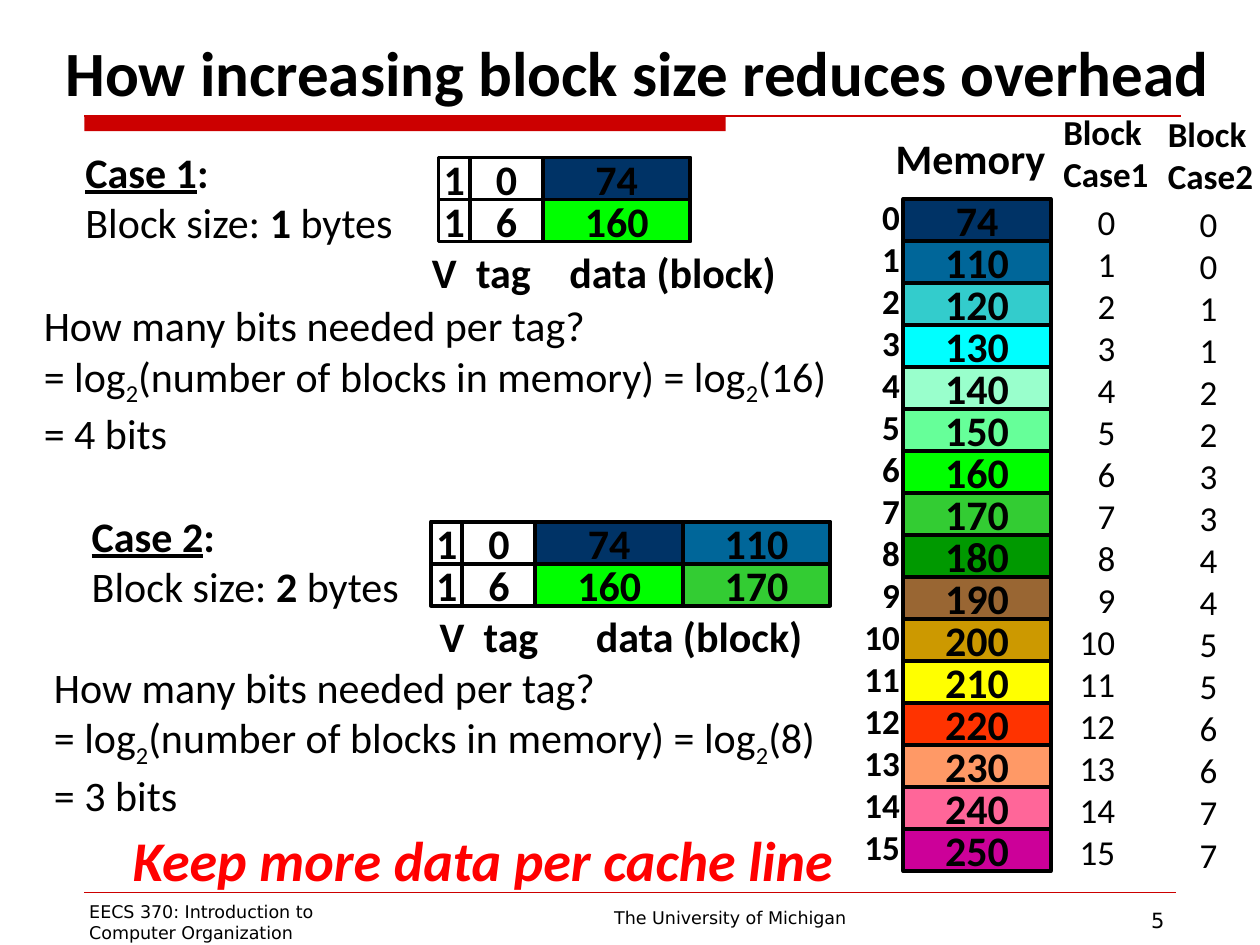
from dataclasses import dataclass
from typing import NamedTuple

from lxml.etree import SubElement
from pptx import Presentation
from pptx.dml.color import RGBColor
from pptx.enum.shapes import MSO_CONNECTOR, MSO_SHAPE
from pptx.enum.text import MSO_ANCHOR, MSO_AUTO_SIZE, PP_ALIGN
from pptx.oxml.ns import qn
from pptx.util import Inches, Pt


@dataclass(frozen=True)
class Theme:
    font: str = "Calibri"
    footer_font: str = "DejaVu Sans"
    black: str = "000000"
    white: str = "FFFFFF"
    rule: str = "CC0000"
    accent: str = "FF0000"
    title: int = 36
    takeaway: int = 32
    body: int = 24
    column: int = 20
    number: int = 12
    footer: int = 10


class Span(NamedTuple):
    text: str
    bold: bool = False
    underline: bool = False
    sub: bool = False


class Box(NamedTuple):
    x: float
    y: float
    w: float
    h: float


@dataclass(frozen=True)
class Case:
    number: int
    blocks: int
    bits: int
    heading: Box
    cache_x: float
    cache_y: float
    rows: tuple[tuple[int, ...], ...]
    labels: Box
    data_tab: float
    question: Box


T = Theme()
ROW_H = 1 / 3
V_W, TAG_W, DATA_W = 0.25, 0.58, 1.17
TAGS = (0, 6)
COLORS = ("003366", "006699", "33CCCC", "00FFFF", "99FFCC", "66FF99", "00FF00", "33CC33",
          "009900", "996633", "CC9900", "FFFF00", "FF3300", "FF9966", "FF6699", "CC0099")
VALUES = (74, *range(110, 260, 10))
MEMORY = dict(zip(VALUES, COLORS))
ADDRESSES = range(len(VALUES))

CASES = (
    Case(1, 16, 4, Box(0.58, 1.11, 4.17, 0.91), 3.48, 1.25, ((74,), (160,)),
         Box(3.33, 1.91, 3.1, 0.5), 1.09, Box(0.25, 2.33, 6.5, 1.31)),
    Case(2, 8, 3, Box(0.63, 4, 4.17, 0.91), 3.42, 4.14, ((74, 110), (160, 170)),
         Box(3.39, 4.8, 3.43, 0.5), 1.24, Box(0.33, 5.2, 6.38, 1.31)),
)


def style(r, size: int, bold=False, color=T.black, font=T.font) -> None:
    r.font.name = font
    r.font.size = Pt(size)
    r.font.bold = bold
    r.font.color.rgb = RGBColor.from_string(color)


def add_text(shapes, box: Box, lines, size=T.body, bold=False, color=T.black, font=T.font,
             align=PP_ALIGN.LEFT, wrap=True, grow=True):
    tf = shapes.add_textbox(*map(Inches, box)).text_frame
    tf.word_wrap = wrap
    tf.auto_size = MSO_AUTO_SIZE.SHAPE_TO_FIT_TEXT if grow else MSO_AUTO_SIZE.NONE
    tf.text = "\n".join(str(line) for line in lines)
    for p in tf.paragraphs:
        p.alignment = align
        for r in p.runs:
            style(r, size, bold, color, font)
    return tf


def add_rich(shapes, box: Box, lines: list[list[Span]]) -> None:
    tf = add_text(shapes, box, [""] * len(lines))
    for p, spans in zip(tf.paragraphs, lines):
        for span in spans:
            r = p.add_run()
            r.text = span.text
            style(r, T.body, span.bold)
            r.font.underline = span.underline
            if span.sub:
                r.font._element.set("baseline", "-25000")


def add_cell(shapes, box: Box, value: int, fill: str) -> None:
    sp = shapes.add_shape(MSO_SHAPE.RECTANGLE, *map(Inches, box))
    sp.shadow.inherit = False
    sp.fill.solid()
    sp.fill.fore_color.rgb = RGBColor.from_string(fill)
    sp.line.color.rgb = RGBColor.from_string(T.black)
    sp.line.width = Pt(2.25)
    tf = sp.text_frame
    tf.word_wrap = False
    tf.vertical_anchor = MSO_ANCHOR.MIDDLE
    tf.text = str(value)
    p = tf.paragraphs[0]
    p.alignment = PP_ALIGN.CENTER
    style(p.runs[0], T.body, True)


def add_rule(shapes, x1: float, x2: float, y: float, width: float) -> None:
    line = shapes.add_connector(MSO_CONNECTOR.STRAIGHT, *map(Inches, (x1, y, x2, y)))
    line.line.color.rgb = RGBColor.from_string(T.rule)
    line.line.width = Pt(width)
    SubElement(line._element.spPr, qn("a:effectLst"))


def add_cache(shapes, case: Case) -> None:
    group = shapes.add_group_shape().shapes
    for i, (tag, data) in enumerate(zip(TAGS, case.rows)):
        x, y = case.cache_x, case.cache_y + i * ROW_H
        cells = [(1, V_W, T.white), (tag, TAG_W, T.white)]
        cells += [(value, DATA_W, MEMORY[value]) for value in data]
        for value, width, fill in cells:
            add_cell(group, Box(x, y, width, ROW_H), value, fill)
            x += width
    tf = add_text(group, case.labels, ["V\ttag\tdata (block)"], bold=True)
    tabs = SubElement(tf.paragraphs[0]._p.get_or_add_pPr(), qn("a:tabLst"))
    for pos in (0.35, case.data_tab):
        SubElement(tabs, qn("a:tab"), pos=str(Inches(pos)), algn="l")


def add_case(shapes, case: Case) -> None:
    add_rich(shapes, case.heading, [
        [Span(f"Case {case.number}", True, True), Span(":", True)],
        [Span("Block size: "), Span(str(case.number), True), Span(" bytes")],
    ])
    add_cache(shapes, case)
    add_rich(shapes, case.question, [
        [Span("How many bits needed per tag?")],
        [Span("= log"), Span("2", sub=True), Span("(number of blocks in memory) = log"),
         Span("2", sub=True), Span(f"({case.blocks})")],
        [Span(f"= {case.bits} bits")],
    ])


def add_memory(shapes) -> None:
    for i, (value, fill) in enumerate(MEMORY.items()):
        add_cell(shapes, Box(7.17, 1.58 + i * ROW_H, DATA_W, ROW_H), value, fill)
    add_text(shapes, Box(7.01, 1, 1.42, 0.5), ["Memory"], bold=True, wrap=False)
    add_text(shapes, Box(6.75, 1.5, 0.49, 5.49), ADDRESSES, T.column, True,
             align=PP_ALIGN.RIGHT, wrap=False)
    for case, head, column in zip(
            CASES,
            (Box(8.34, 0.83, 0.89, 0.77), Box(9.17, 0.84, 0.89, 0.77)),
            (Box(8.38, 1.54, 0.57, 5.49), Box(9.19, 1.56, 0.57, 5.49))):
        add_text(shapes, head, ["Block", f"Case{case.number}"], T.column, True, wrap=False)
        add_text(shapes, column, [a // case.number for a in ADDRESSES], T.column,
                 align=PP_ALIGN.RIGHT)


def add_frame(shapes) -> None:
    band = shapes.add_shape(MSO_SHAPE.RECTANGLE, *map(Inches, (0.67, 0.92, 5.09, 0.12)))
    band.shadow.inherit = False
    band.fill.solid()
    band.fill.fore_color.rgb = RGBColor.from_string(T.rule)
    band.line.fill.background()
    add_rule(shapes, 0.67, 9.37, 0.92, 0.75)
    add_rule(shapes, 0.67, 9.33, 7.08, 0.25)
    add_text(shapes, Box(3.92, 7.15, 3.75, 0.27), ["The University of Michigan"],
             T.footer, font=T.footer_font, align=PP_ALIGN.CENTER)
    add_text(shapes, Box(0.61, 7.1, 3.92, 0.52),
             ["EECS 370: Introduction to", "Computer Organization"],
             T.footer, font=T.footer_font, grow=False)
    add_text(shapes, Box(7.67, 7.15, 1.67, 0.52), ["5"], T.number, font=T.footer_font,
             align=PP_ALIGN.RIGHT, grow=False)


def add_title(s) -> None:
    sp = s.shapes.title
    sp.left, sp.top, sp.width, sp.height = map(Inches, (0.42, 0, 9.58, 0.92))
    tf = sp.text_frame
    tf.text = "How increasing block size reduces overhead"
    tf.vertical_anchor = MSO_ANCHOR.BOTTOM
    tf.auto_size = MSO_AUTO_SIZE.NONE
    p = tf.paragraphs[0]
    p.alignment = PP_ALIGN.LEFT
    style(p.runs[0], T.title, True)


def main() -> None:
    prs = Presentation()
    prs.slide_width, prs.slide_height = Inches(10), Inches(7.5)
    s = prs.slides.add_slide(prs.slide_layouts[5])
    add_frame(s.shapes)
    add_title(s)
    for case in CASES:
        add_case(s.shapes, case)
    add_memory(s.shapes)
    tf = add_text(s.shapes, Box(0.67, 6.5, 6.33, 0.64), ["Keep more data per cache line"],
                  T.takeaway, True, T.accent, align=PP_ALIGN.CENTER)
    tf.paragraphs[0].runs[0].font.italic = True
    prs.save("out.pptx")


if __name__ == "__main__":
    main()
